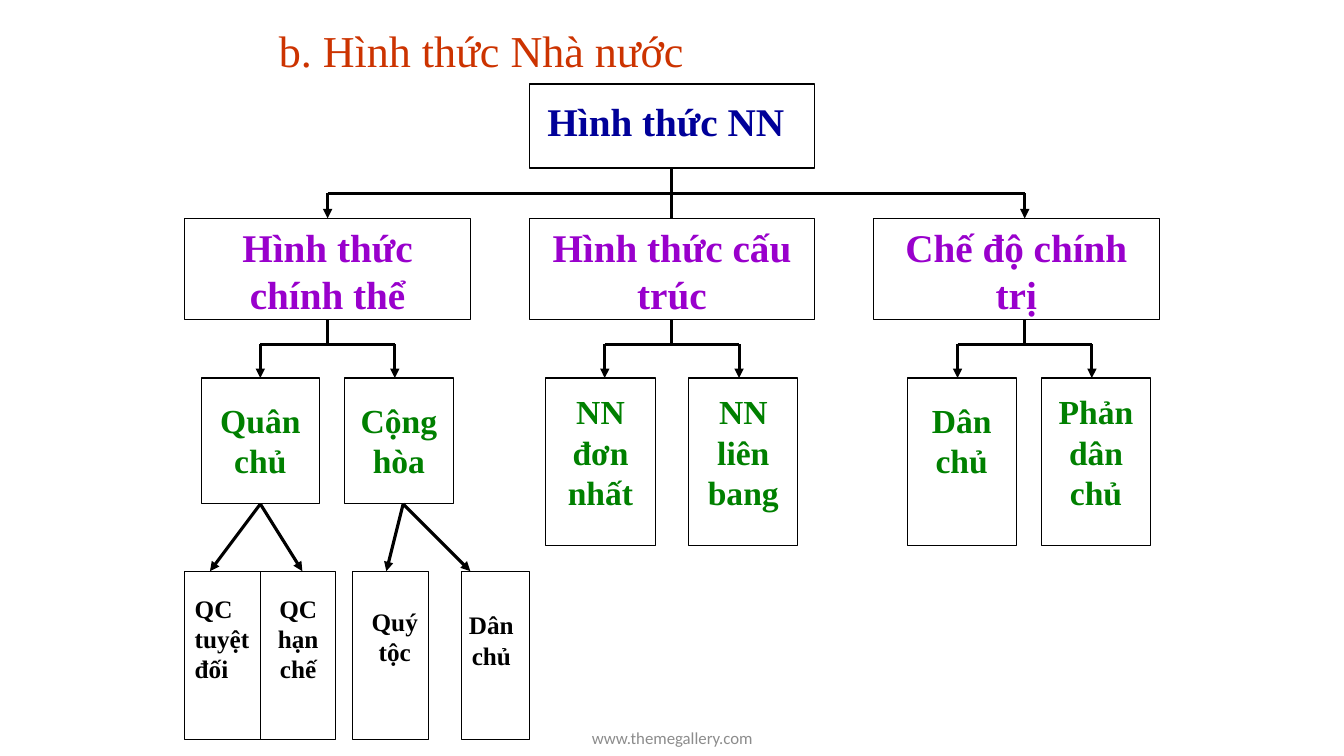
from lxml.etree import SubElement
from pptx import Presentation
from pptx.dml.color import RGBColor
from pptx.enum.shapes import MSO_CONNECTOR, MSO_SHAPE
from pptx.enum.text import MSO_ANCHOR, MSO_AUTO_SIZE, PP_ALIGN
from pptx.oxml.ns import qn
from pptx.util import Cm, Pt

BLACK = RGBColor(0x00, 0x00, 0x00)
WHITE = RGBColor(0xFF, 0xFF, 0xFF)
GREY = RGBColor(0x8C, 0x8C, 0x8C)
RED = RGBColor(0xCC, 0x33, 0x00)
NAVY = RGBColor(0x00, 0x00, 0x99)
PURPLE = RGBColor(0x99, 0x00, 0xCC)
GREEN = RGBColor(0x00, 0x80, 0x00)
SERIF = "Times New Roman"
LEFT, CENTER = PP_ALIGN.LEFT, PP_ALIGN.CENTER

ROOT_TOP, FORM_TOP, TYPE_TOP, KIND_TOP = 10, 26, 45, 68
FORM_BAR, TYPE_BAR = 23, 41  # heights of the horizontal branch lines


def grid(*steps):
    """Turn steps of the diagram grid (12 to the inch) into lengths."""
    return [Cm(step * 2.54 / 12) for step in steps]


def add_label(area, text, size, color, align=CENTER, font=SERIF, bold=True):
    box = page.shapes.add_textbox(*area)
    box.text_frame.word_wrap = True
    para = box.text_frame.paragraphs[0]
    para.text = text
    para.alignment = align
    para.font.name = font
    para.font.size = Pt(size)
    para.font.bold = bold
    para.font.color.rgb = color
    return box


deck = Presentation()
deck.slide_width, deck.slide_height = Cm(33.87), Cm(19.05)
page = deck.slides.add_slide(deck.slide_layouts[6])

footer = add_label((Cm(11.23), Cm(18.14), Cm(11.43), Cm(0.91)),
                   "www.themegallery.com", 12, GREY, font="Calibri", bold=False)
title = add_label((Cm(6.78), Cm(0.76), Cm(22.23), Cm(1.14)),
                  "b. Hình thức Nhà nước", 31.5, RED, LEFT, bold=False)
title.text_frame.paragraphs[0].line_spacing = 0.9
for box in (footer, title):
    box.text_frame.vertical_anchor = MSO_ANCHOR.MIDDLE

# Frame (left, top, width, height), label (left, top, width, height), text, size, colour, alignment
nodes = [((63, ROOT_TOP, 34, 10), (64, 11, 32, 6.8), "Hình thức NN", 28, NAVY, LEFT)]
for left, text in ((22, "Hình thức chính thể"), (63, "Hình thức cấu trúc"),
                   (104, "Chế độ chính trị")):
    nodes.append(((left, FORM_TOP, 34, 12), (left + 1, FORM_TOP, 32, 12.4),
                  text, 28, PURPLE, CENTER))
for left, width, height, lines, text in (
        (24, 14, 15, 2, "Quân chủ"), (41, 13, 15, 2, "Cộng hòa"),
        (65, 13, 20, 3, "NN đơn nhất"), (82, 13, 20, 3, "NN liên bang"),
        (108, 13, 20, 2, "Dân chủ"), (124, 13, 20, 3, "Phản dân chủ")):
    nodes.append(((left, TYPE_TOP, width, height),
                  (left, 49 - lines, width, 4.8 * lines + 1.2),
                  text, 24, GREEN, CENTER))
for left, width, label, text, align in (
        (22, 9, (22, 70, 9, 12), "QC tuyệt đối", LEFT),
        (31, 9, (31, 70, 9, 12), "QC hạn chế", CENTER),
        (42, 9, (42, 71.6, 10, 8.5), "Quý tộc", CENTER),
        (55, 8, (54, 72, 9, 8.5), "Dân chủ", CENTER)):
    nodes.append(((left, KIND_TOP, width, 20), label, text, 18, BLACK, align))

joints = {}  # middle of a top or bottom side -> (frame, connection site)
for (left, top, width, height), *_ in nodes:
    frame = page.shapes.add_shape(MSO_SHAPE.RECTANGLE, *grid(left, top, width, height))
    frame.shadow.inherit = False
    frame.fill.solid()
    frame.fill.fore_color.rgb = WHITE
    frame.line.color.rgb = BLACK
    frame.line.width = Pt(0.75)
    joints[left + width / 2, top] = frame, 0
    joints[left + width / 2, top + height] = frame, 2
for _, area, *label in nodes:
    box = add_label(grid(*area), *label)
    box.text_frame.auto_size = MSO_AUTO_SIZE.SHAPE_TO_FIT_TEXT

# Start, end, arrowhead
links = [((80, 20), (80, FORM_TOP), False), ((39, FORM_BAR), (122, FORM_BAR), False)]
for x in (39, 122):
    links.append(((x, FORM_BAR), (x, FORM_TOP), True))
for stem, first, last in ((39, 31, 47), (80, 72, 88), (122, 114, 130)):
    links.append(((stem, 38), (stem, TYPE_BAR), False))
    links.append(((first, TYPE_BAR), (last, TYPE_BAR), False))
    for x in (first, last):
        links.append(((x, TYPE_BAR), (x, TYPE_TOP), True))
for start, end in ((31, 25), (31, 36), (48, 46), (48, 56)):
    links.append(((start, 60), (end, KIND_TOP), True))

for start, end, arrow in links:
    link = page.shapes.add_connector(MSO_CONNECTOR.STRAIGHT, *grid(*start, *end))
    if start in joints:
        link.begin_connect(*joints[start])
    if end in joints:
        link.end_connect(*joints[end])
    link.line.color.rgb = BLACK
    link.line.width = Pt(2.25)
    if arrow:
        SubElement(link.line._get_or_add_ln(), qn("a:tailEnd"), type="triangle")
    SubElement(link._element.spPr, qn("a:effectLst"))

deck.save("out.pptx")
